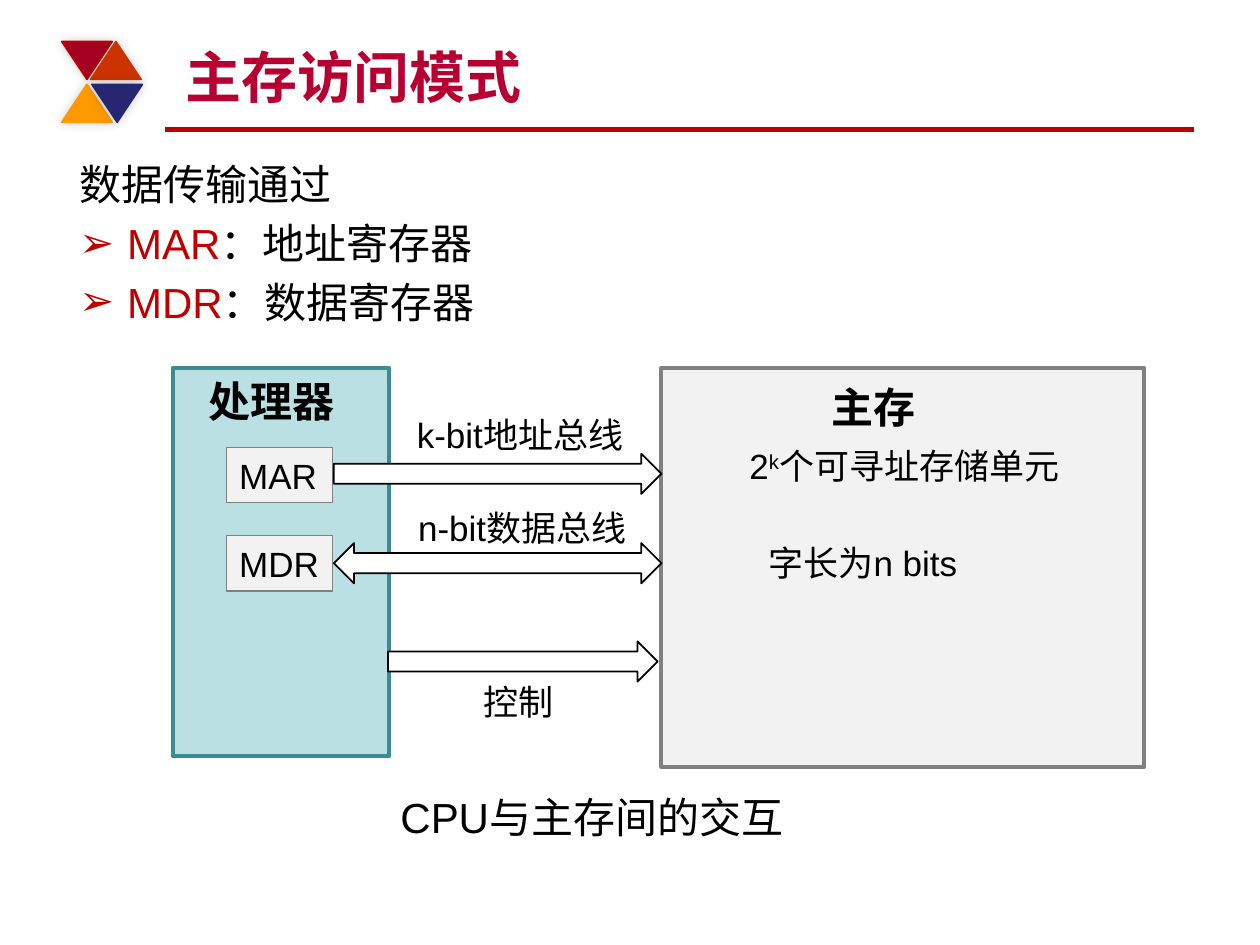
"""Build the slide on main memory access between processor and memory."""
from typing import NamedTuple

from lxml.etree import SubElement
from pptx import Presentation
from pptx.dml.color import RGBColor
from pptx.enum.shapes import MSO_CONNECTOR, MSO_SHAPE
from pptx.enum.text import MSO_ANCHOR, PP_ALIGN
from pptx.oxml import parse_xml
from pptx.oxml.ns import nsdecls, qn
from pptx.util import Inches, Pt

COLORS = {
    "black": "000000", "white": "FFFFFF", "red": "C00000", "title": "B70031",
    "teal": "BBE0E3", "teal line": "3C8C93", "pale": "F2F2F2", "gray": "808080",
    "crimson": "A50021", "rust": "CC3300", "amber": "FF9900", "navy": "262673",
}


class Box(NamedTuple):
    """A filled preset shape."""
    left: float
    top: float
    width: float
    height: float
    fill: str
    line: str
    line_width: float
    kind: MSO_SHAPE = MSO_SHAPE.RECTANGLE
    rotation: int = 0
    text: str = ""


class Label(NamedTuple):
    """A text box holding one line of (text, baseline) pieces."""
    left: float
    top: float
    width: float
    height: float
    pieces: tuple
    size: int = 20
    bold: bool = False


TRIANGLES = [
    Box(0.49, 0.33, 0.4, 0.3, "crimson", "red", 1, MSO_SHAPE.ISOSCELES_TRIANGLE, 180),
    Box(0.72, 0.33, 0.4, 0.3, "rust", "rust", 1, MSO_SHAPE.ISOSCELES_TRIANGLE),
    Box(0.49, 0.67, 0.4, 0.3, "amber", "amber", 1, MSO_SHAPE.ISOSCELES_TRIANGLE),
    Box(0.73, 0.67, 0.4, 0.3, "navy", "navy", 1, MSO_SHAPE.ISOSCELES_TRIANGLE, 180),
]
BLOCKS = [
    Box(1.37, 2.92, 1.72, 3.08, "teal", "teal line", 2.25),
    Box(5.25, 2.92, 3.83, 3.17, "pale", "gray", 2.25),
    Box(1.8, 3.55, 0.84, 0.44, "pale", "gray", 0.75, text="MAR"),
    Box(1.8, 4.25, 0.84, 0.44, "pale", "gray", 0.75, text="MDR"),
]
BUSES = [
    Box(2.65, 3.6, 2.6, 0.32, "white", "black", 1, MSO_SHAPE.RIGHT_ARROW),
    Box(2.65, 4.31, 2.6, 0.32, "white", "black", 1, MSO_SHAPE.LEFT_RIGHT_ARROW),
    Box(3.08, 5.09, 2.14, 0.32, "white", "black", 1, MSO_SHAPE.RIGHT_ARROW),
]
LABELS = [
    Label(1.56, 2.93, 1.33, 0.5, (("处理器", 0),), 24, True),
    Label(6.5, 2.98, 1.33, 0.5, (("主存", 0),), 24, True),
    Label(3.21, 3.23, 2.17, 0.44, (("k-bit地址总线", 0),)),
    Label(3.22, 3.97, 2.17, 0.44, (("n-bit数据总线", 0),)),
    Label(3.74, 5.35, 1.39, 0.44, (("控制", 0),)),
    Label(5.85, 3.48, 2.73, 0.44, (("2", 0), ("k", 30), ("个可寻址存储单元", 0))),
    Label(6, 4.25, 2.73, 0.44, (("字长为n bits", 0),)),
    Label(3.08, 6.23, 3.27, 0.5, (("CPU与主存间的交互", 0),), 24),
]
REGISTERS = [("MAR", "：地址寄存器"), ("MDR", "：数据寄存器")]


def rgb(name: str) -> RGBColor:
    """Look up a named colour."""
    return RGBColor.from_string(COLORS[name])


def add_run(paragraph, text: str, size: int, color: str = "black", bold: bool = False):
    """Append a formatted run and return it."""
    run = paragraph.add_run()
    run.text = text
    for name, value in {"name": "Arial", "size": Pt(size), "bold": bold}.items():
        setattr(run.font, name, value)
    run.font.color.rgb = rgb(color)
    return run


def add_box(slide, box: Box):
    """Draw a preset shape with its optional text."""
    shape = slide.shapes.add_shape(box.kind, *map(Inches, box[:4]))
    shape.shadow.inherit = False
    shape.rotation = box.rotation
    shape.fill.solid()
    shape.fill.fore_color.rgb = rgb(box.fill)
    shape.line.color.rgb = rgb(box.line)
    shape.line.width = Pt(box.line_width)
    if box.text:
        shape.text_frame.word_wrap = False
        paragraph = shape.text_frame.paragraphs[0]
        paragraph.alignment = PP_ALIGN.LEFT
        add_run(paragraph, box.text, 20)
    return shape


def add_soft_shadow(shape) -> None:
    """Give a shape a faint blurred shadow."""
    effects = shape._element.spPr.find(qn("a:effectLst"))
    effects.append(parse_xml(
        f'<a:outerShdw {nsdecls("a")} blurRad="{Pt(6)}" dist="0" dir="18900000">'
        '<a:srgbClr val="000000"><a:alpha val="20000"/></a:srgbClr></a:outerShdw>'))


def add_label(slide, label: Label) -> None:
    """Draw a wrapped text box."""
    frame = slide.shapes.add_textbox(*map(Inches, label[:4])).text_frame
    frame.word_wrap = True
    for text, baseline in label.pieces:
        run = add_run(frame.paragraphs[0], text, label.size, bold=label.bold)
        if baseline:
            run.font._element.set("baseline", str(baseline * 1000))


def add_title(slide) -> None:
    """Place and fill the title, with the rule beneath it."""
    title = slide.shapes.title
    place = {"left": 1.37, "top": 0.25, "width": 8, "height": 0.67}
    for name, value in place.items():
        setattr(title, name, Inches(value))
    title.text_frame.vertical_anchor = MSO_ANCHOR.BOTTOM
    paragraph = title.text_frame.paragraphs[0]
    paragraph.alignment = PP_ALIGN.LEFT
    add_run(paragraph, "主存访问模式", 32, "title", True)
    rule = slide.shapes.add_connector(
        MSO_CONNECTOR.STRAIGHT, Inches(1.31), Inches(1.03), Inches(9.48), Inches(1.03))
    rule.line.color.rgb = rgb("red")
    rule.line.width = Pt(3)
    SubElement(rule._element.spPr, qn("a:effectLst"))


def add_registers(slide) -> None:
    """Write the introduction and the bulleted registers."""
    frame = slide.shapes.add_textbox(
        Inches(0.53), Inches(1.21), Inches(8.95), Inches(1.5)).text_frame
    frame.word_wrap = True
    add_run(frame.paragraphs[0], "数据传输通过", 24)
    for name, meaning in REGISTERS:
        paragraph = frame.add_paragraph()
        properties = paragraph._p.get_or_add_pPr()
        properties.set("marL", str(Inches(0.38)))
        properties.set("indent", str(Inches(-0.38)))
        SubElement(properties, qn("a:buFont"), typeface="Arial")
        SubElement(properties, qn("a:buChar"), char="➢")
        paragraph.space_before = Pt(4.8)
        add_run(paragraph, name, 24, "red")
        add_run(paragraph, meaning, 24)


def main() -> None:
    """Build and save the presentation."""
    presentation = Presentation()
    presentation.slide_width = Inches(10)
    presentation.slide_height = Inches(7.5)
    slide = presentation.slides.add_slide(presentation.slide_layouts[5])
    add_title(slide)
    for triangle in TRIANGLES:
        add_soft_shadow(add_box(slide, triangle))
    add_registers(slide)
    for box in BLOCKS + BUSES:
        add_box(slide, box)
    for label in LABELS:
        add_label(slide, label)
    presentation.save("out.pptx")


if __name__ == "__main__":
    main()
